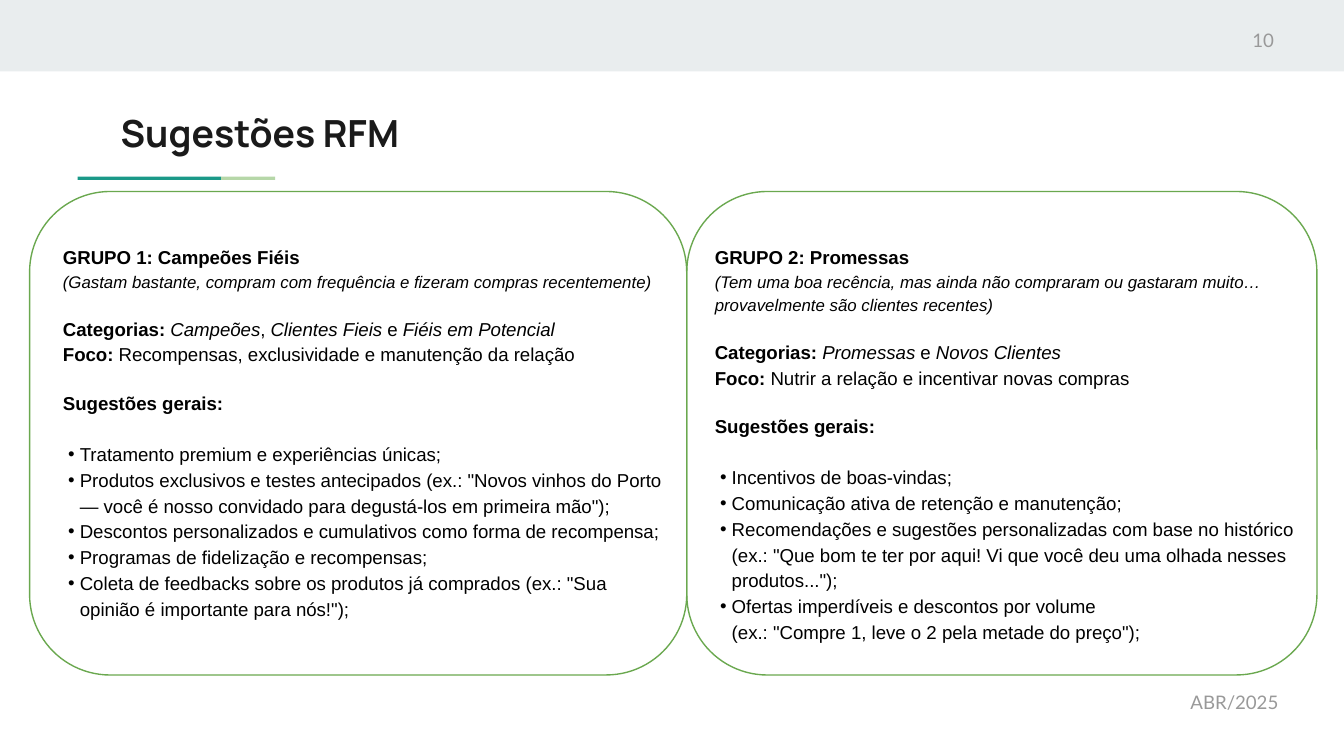
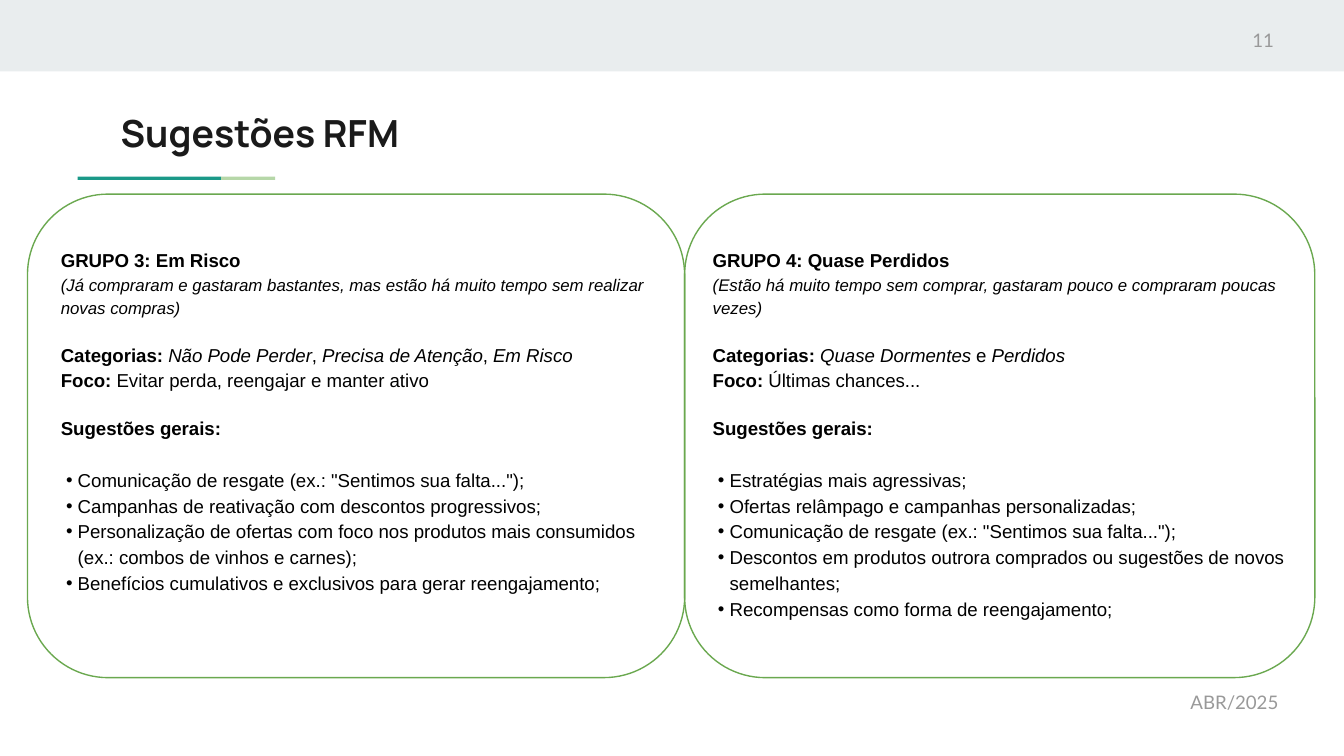
from lxml import etree
from pptx import Presentation
from pptx.dml.color import RGBColor
from pptx.enum.shapes import MSO_SHAPE
from pptx.enum.text import MSO_ANCHOR, PP_ALIGN
from pptx.oxml.ns import qn
from pptx.util import Cm, Pt

RECTANGLE = MSO_SHAPE.RECTANGLE
ROUNDED = MSO_SHAPE.ROUNDED_RECTANGLE
TOP = MSO_ANCHOR.TOP
LEFT = PP_ALIGN.LEFT

COLORS = {
    "band": "E9EDEE",
    "teal": "1A9988",
    "light_green": "B6D7A8",
    "card_line": "6AA84F",
    "title": "1A1A1A",
    "body": "000000",
    "muted": "999999",
}
TITLE_FONT, BODY_FONT, FOOTER_FONT = "Manrope", "Arial", "Lato"

SLIDE_WIDTH, SLIDE_HEIGHT = 25.4, 14.29
INSET = 0.25
CARD_WIDTHS = (12.42, 11.91)
CARD_HEIGHT = 9.14
TEXT_OFFSETS = (0.38, 0.28)
TEXT_TOP, TEXT_WIDTH, TEXT_HEIGHT = 0.72, 11.91, 7.7
BULLET_LEFT, BULLET_TEXT_LEFT = 0.1, 0.32

# Runs are (text, style) pairs: "b" bold, "i" italic, "" regular
SLIDES = [
    {
        "number": "10",
        "cards_at": (0.56, 3.62),
        "groups": [
            {
                "name": "GRUPO 1: Campeões Fiéis",
                "profile": "(Gastam bastante, compram com frequência e fizeram compras recentemente)",
                "categories": [("Campeões", "i"), (", ", ""), ("Clientes Fieis", "i"),
                               (" e ", ""), ("Fiéis em Potencial", "i")],
                "focus": "Recompensas, exclusividade e manutenção da relação",
                "suggestions": [
                    "Tratamento premium e experiências únicas;",
                    'Produtos exclusivos e testes antecipados (ex.: "Novos vinhos do Porto '
                    '— você é nosso convidado para degustá-los em primeira mão");',
                    "Descontos personalizados e cumulativos como forma de recompensa;",
                    "Programas de fidelização e recompensas;",
                    'Coleta de feedbacks sobre os produtos já comprados (ex.: "Sua opinião '
                    'é importante para nós!");',
                ],
            },
            {
                "name": "GRUPO 2: Promessas",
                "profile": "(Tem uma boa recência, mas ainda não compraram ou gastaram muito… "
                           "provavelmente são clientes recentes)",
                "categories": [("Promessas", "i"), (" e ", ""), ("Novos Clientes", "i")],
                "focus": "Nutrir a relação e incentivar novas compras",
                "suggestions": [
                    "Incentivos de boas-vindas;",
                    "Comunicação ativa de retenção e manutenção;",
                    "Recomendações e sugestões personalizadas com base no histórico\v"
                    '(ex.: "Que bom te ter por aqui! Vi que você deu uma olhada nesses produtos...");',
                    "Ofertas imperdíveis e descontos por volume\v"
                    '(ex.: "Compre 1, leve o 2 pela metade do preço");',
                ],
            },
        ],
    },
    {
        "number": "11",
        "cards_at": (0.52, 3.67),
        "groups": [
            {
                "name": "GRUPO 3: Em Risco",
                "profile": "(Já compraram e gastaram bastantes, mas estão há muito tempo sem "
                           "realizar novas compras)",
                "categories": [("Não Pode Perder", "i"), (", ", ""), ("Precisa de Atenção", "i"),
                               (", ", ""), ("Em Risco", "i")],
                "focus": "Evitar perda, reengajar e manter ativo",
                "suggestions": [
                    'Comunicação de resgate (ex.: "Sentimos sua falta...");',
                    "Campanhas de reativação com descontos progressivos;",
                    "Personalização de ofertas com foco nos produtos mais consumidos\v"
                    "(ex.: combos de vinhos e carnes);",
                    "Benefícios cumulativos e exclusivos para gerar reengajamento;",
                ],
            },
            {
                "name": "GRUPO 4: Quase Perdidos",
                "profile": "(Estão há muito tempo sem comprar, gastaram pouco e compraram poucas vezes)",
                "categories": [("Quase Dormentes", "i"), (" e ", ""), ("Perdidos", "i")],
                "focus": "Últimas chances...",
                "suggestions": [
                    "Estratégias mais agressivas;",
                    "Ofertas relâmpago e campanhas personalizadas;",
                    'Comunicação de resgate (ex.: "Sentimos sua falta...");',
                    "Descontos em produtos outrora comprados ou sugestões de novos semelhantes;",
                    "Recompensas como forma de reengajamento;",
                ],
            },
        ],
    },
]


def rgb(name):
    return RGBColor.from_string(COLORS[name])


def add_bar(slide, left, top, width, height, color):
    shape = slide.shapes.add_shape(RECTANGLE, Cm(left), Cm(top), Cm(width), Cm(height))
    shape.shadow.inherit = False
    shape.fill.solid()
    shape.fill.fore_color.rgb = rgb(color)
    shape.line.fill.background()


def add_text_frame(slide, left, top, width, height, wrap=True):
    box = slide.shapes.add_textbox(Cm(left), Cm(top), Cm(width), Cm(height))
    text_frame = box.text_frame
    text_frame.word_wrap = wrap
    text_frame.vertical_anchor = TOP
    text_frame.margin_left = text_frame.margin_right = Cm(INSET)
    text_frame.margin_top = text_frame.margin_bottom = Cm(INSET)
    return text_frame


def format_run(run, font, size, color, style=""):
    run.font.name = font
    run.font.size = Pt(size)
    run.font.color.rgb = rgb(color)
    run.font.bold = style == "b"
    run.font.italic = style == "i"


def add_label(slide, text, left, top, width, height, font, size, color, style=""):
    text_frame = add_text_frame(slide, left, top, width, height, wrap=False)
    text_frame.text = text
    paragraph = text_frame.paragraphs[0]
    paragraph.alignment = LEFT
    format_run(paragraph.runs[0], font, size, color, style)


def add_body_paragraph(text_frame, pieces, size=10, before=0):
    first = text_frame.paragraphs[0]
    paragraph = text_frame.add_paragraph() if first.runs else first
    paragraph.line_spacing = 1.15
    paragraph.space_before = Pt(before)
    for text, style in pieces:
        run = paragraph.add_run()
        run.text = text
        format_run(run, BODY_FONT, size, "body", style)


def add_bullet(text_frame, text, before=0):
    paragraph = text_frame.add_paragraph()
    paragraph.text = text
    paragraph.line_spacing = 1.15
    paragraph.space_before = Pt(before)
    for run in paragraph.runs:
        format_run(run, BODY_FONT, 10, "body")
    for line_break in paragraph._p.findall(qn("a:br")):
        etree.SubElement(line_break, qn("a:rPr"), sz="1000")
    properties = paragraph._p.get_or_add_pPr()
    properties.set("marL", str(Cm(BULLET_TEXT_LEFT)))
    properties.set("indent", str(Cm(BULLET_LEFT) - Cm(BULLET_TEXT_LEFT)))
    etree.SubElement(properties, qn("a:buFont"), typeface=BODY_FONT)
    etree.SubElement(properties, qn("a:buChar"), char="•")


def add_group_card(slide, group, left, top, width, text_offset):
    card = slide.shapes.add_shape(ROUNDED, Cm(left), Cm(top), Cm(width), Cm(CARD_HEIGHT))
    card.shadow.inherit = False
    card.fill.background()
    card.line.color.rgb = rgb("card_line")
    card.line.width = Pt(0.75)

    text_frame = add_text_frame(slide, left + text_offset, top + TEXT_TOP,
                                TEXT_WIDTH, TEXT_HEIGHT)
    add_body_paragraph(text_frame, [(group["name"], "b")])
    add_body_paragraph(text_frame, [(group["profile"], "i")], size=9)
    add_body_paragraph(text_frame, [("Categorias: ", "b"), *group["categories"]], before=12)
    add_body_paragraph(text_frame, [("Foco: ", "b"), (group["focus"], "")])
    add_body_paragraph(text_frame, [("Sugestões gerais:", "b")], before=12)
    for index, suggestion in enumerate(group["suggestions"]):
        add_bullet(text_frame, suggestion, before=0 if index else 13.8)


def add_frame(slide, number):
    # Top band, title and its two-tone underline
    add_bar(slide, 0, 0, SLIDE_WIDTH, 1.35, "band")
    add_bar(slide, 1.47, 3.34, 2.71, 0.06, "teal")
    add_bar(slide, 4.18, 3.34, 1.02, 0.06, "light_green")
    add_label(slide, "Sugestões RFM", 2.03, 1.83, 21.36, 1.5, TITLE_FONT, 20, "title", "b")
    # Date and page number
    add_label(slide, "ABR/2025", 22.25, 12.85, 2.26, 0.64, FOOTER_FONT, 10, "muted")
    add_label(slide, number, 23.42, 0.33, 1.12, 0.64, FOOTER_FONT, 10, "muted")


def main():
    presentation = Presentation()
    presentation.slide_width = Cm(SLIDE_WIDTH)
    presentation.slide_height = Cm(SLIDE_HEIGHT)
    for content in SLIDES:
        slide = presentation.slides.add_slide(presentation.slide_layouts[6])
        add_frame(slide, content["number"])
        # Two cards side by side, edges touching
        left, top = content["cards_at"]
        for group, width, offset in zip(content["groups"], CARD_WIDTHS, TEXT_OFFSETS):
            add_group_card(slide, group, left, top, width, offset)
            left += width
    presentation.save("out.pptx")


if __name__ == "__main__":
    main()
